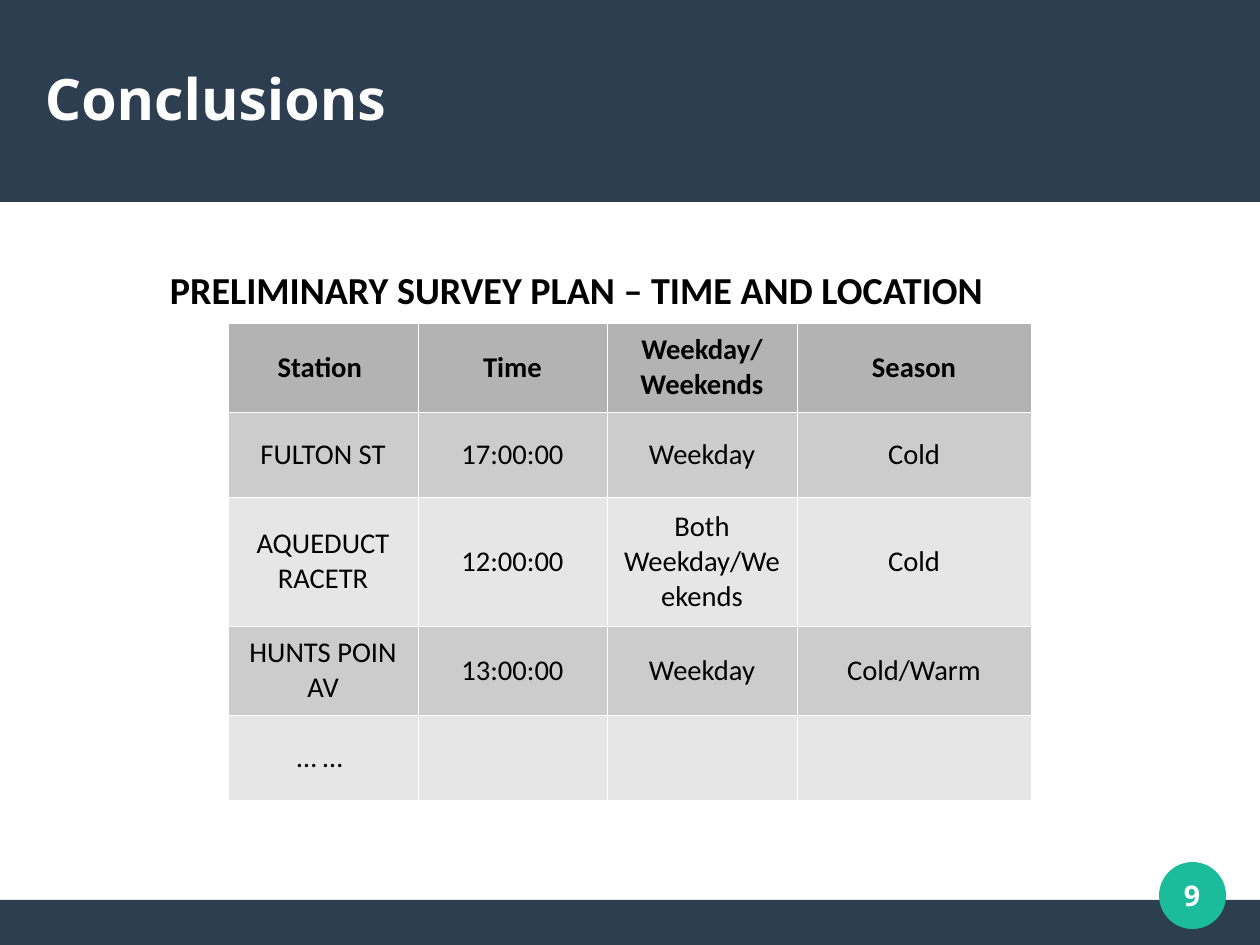
from lxml.etree import SubElement
from pptx import Presentation
from pptx.dml.color import RGBColor
from pptx.enum.shapes import MSO_SHAPE
from pptx.enum.text import MSO_ANCHOR, PP_ALIGN
from pptx.oxml.ns import qn
from pptx.util import Pt

EMU_PER_PX = 8000
SLIDE_WIDTH, SLIDE_HEIGHT = 1260, 945

NAVY = RGBColor(0x2C, 0x3E, 0x50)
TEAL = RGBColor(0x1A, 0xBC, 0x9C)
WHITE = RGBColor(0xFF, 0xFF, 0xFF)
BLACK = RGBColor(0x00, 0x00, 0x00)
HEADER_GRAY = RGBColor(0xB3, 0xB3, 0xB3)
BAND_GRAYS = (RGBColor(0xCC, 0xCC, 0xCC), RGBColor(0xE6, 0xE6, 0xE6))

HEADING_FONT = "Noto Sans"
BODY_FONT = "Calibri"

COLUMN_WIDTHS = (190, 189, 190, 234)
ROW_HEIGHTS = (89, 85, 129, 89, 85)
SURVEY_PLAN = (
    ("Station ", "Time", "Weekday/Weekends", "Season"),
    ("FULTON ST", "17:00:00", "Weekday", "Cold"),
    ("AQUEDUCT RACETR", "12:00:00", "Both Weekday/Weekends", "Cold"),
    ("HUNTS POIN AV", "13:00:00", "Weekday", "Cold/Warm"),
    ("… … ", "", "", ""),
)


def px(*lengths):
    return [length * EMU_PER_PX for length in lengths]


def add_block(slide, preset, box, color):
    block = slide.shapes.add_shape(preset, *px(*box))
    block.shadow.inherit = False
    block.fill.solid()
    block.fill.fore_color.rgb = color
    block.line.fill.background()


def write(frame, text, font_name, size, color, bold=True, align=PP_ALIGN.LEFT):
    frame.text = text
    paragraph = frame.paragraphs[0]
    paragraph.alignment = align
    for run in paragraph.runs:
        run.font.name = font_name
        run.font.size = Pt(size)
        run.font.bold = bold
        run.font.color.rgb = color


def add_label(slide, box, text, font_name, size, color, align=PP_ALIGN.LEFT):
    """Add a one-line text without insets, centred vertically in its box."""
    frame = slide.shapes.add_textbox(*px(*box)).text_frame
    frame.word_wrap = True
    frame.vertical_anchor = MSO_ANCHOR.MIDDLE
    frame.margin_left = frame.margin_right = 0
    frame.margin_top = frame.margin_bottom = 0
    write(frame, text, font_name, size, color, align=align)


def add_cell_borders(cell):
    properties = cell._tc.get_or_add_tcPr()
    for side in ("a:lnL", "a:lnR", "a:lnT", "a:lnB"):
        border = SubElement(properties, qn(side), w="762")
        fill = SubElement(border, qn("a:solidFill"))
        SubElement(fill, qn("a:srgbClr"), val=str(WHITE))


def add_survey_table(slide, left, top):
    size = px(left, top, sum(COLUMN_WIDTHS), sum(ROW_HEIGHTS))
    table = slide.shapes.add_table(len(ROW_HEIGHTS), len(COLUMN_WIDTHS), *size).table
    table.first_row = table.horz_banding = False
    for column, width in zip(table.columns, px(*COLUMN_WIDTHS)):
        column.width = width
    for index, (row, height) in enumerate(zip(table.rows, px(*ROW_HEIGHTS))):
        row.height = height
        is_header = index == 0
        gray = HEADER_GRAY if is_header else BAND_GRAYS[(index - 1) % 2]
        for cell, text in zip(row.cells, SURVEY_PLAN[index]):
            add_cell_borders(cell)
            cell.fill.solid()
            cell.fill.fore_color.rgb = gray
            cell.vertical_anchor = MSO_ANCHOR.MIDDLE
            write(cell.text_frame, text, BODY_FONT, 18, BLACK, is_header, PP_ALIGN.CENTER)


def main():
    presentation = Presentation()
    presentation.slide_width, presentation.slide_height = px(SLIDE_WIDTH, SLIDE_HEIGHT)
    slide = presentation.slides.add_slide(presentation.slide_layouts[6])

    add_block(slide, MSO_SHAPE.RECTANGLE, (0, 900, SLIDE_WIDTH, 45), NAVY)
    add_block(slide, MSO_SHAPE.RECTANGLE, (0, 0, SLIDE_WIDTH, 202), NAVY)
    add_block(slide, MSO_SHAPE.OVAL, (1159, 862, 67, 67), TEAL)

    add_label(slide, (45, 38, 1170, 120), "Conclusions", HEADING_FONT, 36, WHITE)
    add_survey_table(slide, 228, 323)
    add_label(slide, (170, 258, 974, 63), "PRELIMINARY SURVEY PLAN – TIME AND LOCATION",
              BODY_FONT, 24, BLACK)
    add_label(slide, (1147, 850, 90, 90), "9", HEADING_FONT, 18, WHITE, PP_ALIGN.CENTER)

    presentation.save("out.pptx")


if __name__ == "__main__":
    main()
